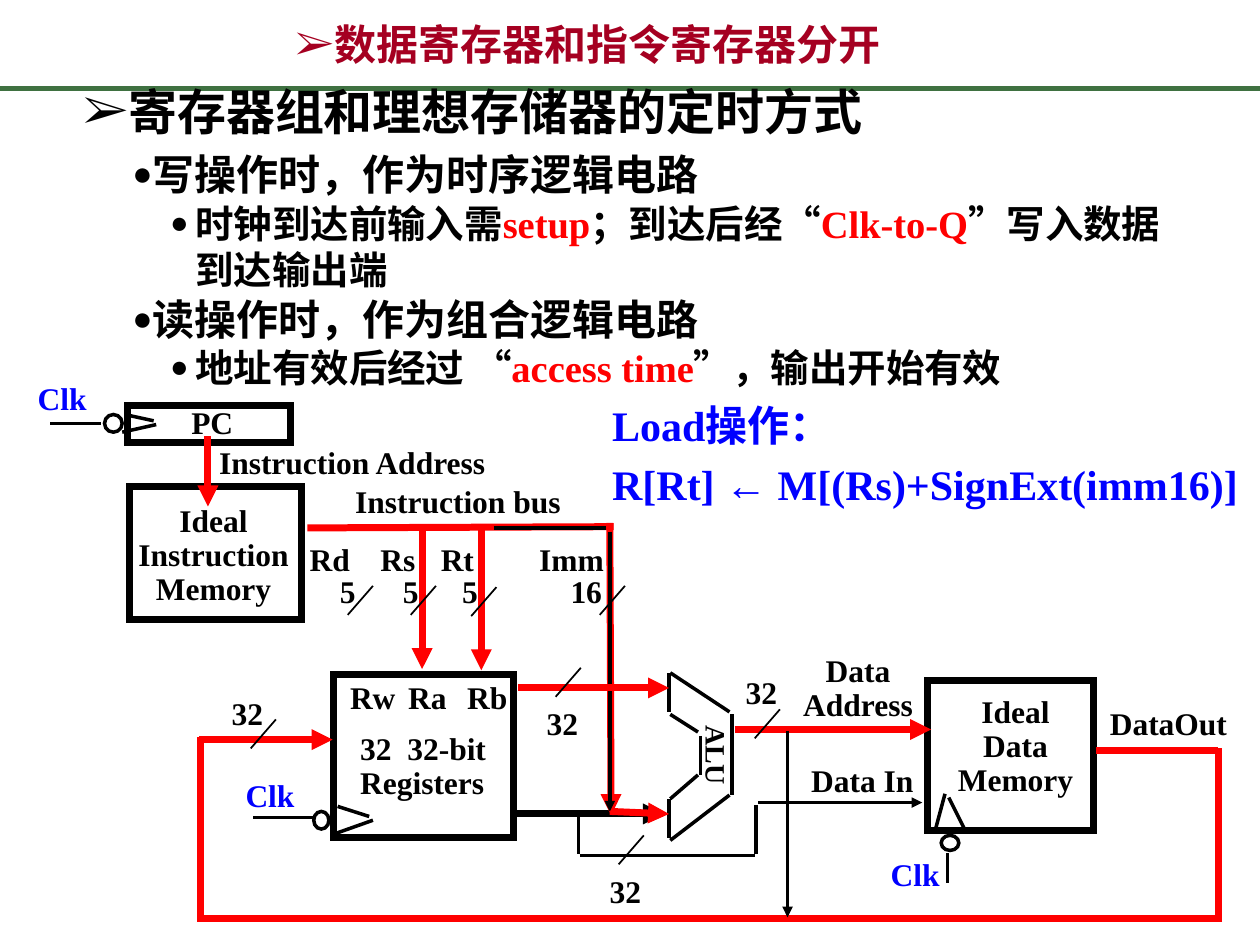
from typing import NamedTuple

from lxml import etree
from pptx import Presentation
from pptx.dml.color import RGBColor
from pptx.enum.shapes import MSO_CONNECTOR, MSO_SHAPE
from pptx.enum.text import MSO_ANCHOR, PP_ALIGN
from pptx.oxml.ns import qn
from pptx.util import Emu, Pt

PX = 9144  # 100 px to the inch
BLACK = RGBColor(0x00, 0x00, 0x00)
WHITE = RGBColor(0xFF, 0xFF, 0xFF)
RED = RGBColor(0xFF, 0x00, 0x00)
BLUE = RGBColor(0x00, 0x00, 0xFF)
GREEN = RGBColor(0x3F, 0x71, 0x41)
CRIMSON = RGBColor(0xA5, 0x00, 0x21)
SERIF, SANS, CJK = "Times New Roman", "Arial", "Noto Sans CJK JP"
RECT, OVAL = MSO_SHAPE.RECTANGLE, MSO_SHAPE.OVAL
STRAIGHT = MSO_CONNECTOR.STRAIGHT
LEFT, CENTER = PP_ALIGN.LEFT, PP_ALIGN.CENTER
TOP, BOTTOM = MSO_ANCHOR.TOP, MSO_ANCHOR.BOTTOM


class Span(NamedTuple):
    text: str
    color: RGBColor = BLACK
    font: str = SERIF


class Bullet(NamedTuple):
    mark: str
    percent: int
    left: int = 0
    hang: int = 0


class Para(NamedTuple):
    spans: list[Span]
    size: int = 18
    align: PP_ALIGN = LEFT
    spacing: float = 1.0
    before: float = 0
    bullet: Bullet | None = None


class Wire(NamedTuple):
    x1: int
    y1: int
    x2: int
    y2: int
    color: RGBColor = BLACK
    weight: int = 2
    arrow: bool = False


class Outline(NamedTuple):
    kind: MSO_SHAPE
    x: int
    y: int
    width: int
    height: int
    weight: int


class Label(NamedTuple):
    text: str
    x: int
    y: int
    width: int
    height: int = 40
    color: RGBColor = BLACK
    align: PP_ALIGN = LEFT
    size: int = 18
    rotation: int = 0


class BusWidth(NamedTuple):
    """A bit count and the slash that marks it on its wire."""
    bits: str
    x: int
    y: int
    slash_x: int
    slash_y: int


ARROW = Bullet("➢", 100)
TOPIC = Bullet("➢", 100, 20, -20)
POINT = Bullet("●", 80, 55, -16)
DETAIL = Bullet("●", 80, 89, -20)

TITLE = [Para([Span("数据寄存器和指令寄存器分开", CRIMSON, SANS)], 24, CENTER, bullet=ARROW)]
BODY = [
    Para([Span("寄存器组和理想存储器的定时方式")], 28, before=4.8, bullet=TOPIC),
    Para([Span("写操作时，作为时序逻辑电路")], 24, before=4.6, bullet=POINT),
    Para([Span("时钟到达前输入需"), Span("setup", RED), Span("；到达后经“"),
          Span("Clk-to-Q", RED), Span("”", BLACK, CJK), Span("写入数据到达输出端")],
         22, before=0.4, bullet=DETAIL),
    Para([Span("读操作时，作为组合逻辑电路")], 24, before=1, bullet=POINT),
    Para([Span("地址有效后经过 “"), Span("access time", RED),
          Span("”", BLACK, CJK), Span("，输出开始有效")], 22, bullet=DETAIL),
]
LOAD = [
    Para([Span("Load操作：", BLUE)], 24),
    Para([Span("R[Rt] ← M[(Rs)+SignExt(imm16)]", BLUE)], 24, before=5),
]

OUTLINES = [
    Outline(RECT, 101, 322, 130, 29, 4),   # PC
    Outline(RECT, 103, 386, 136, 106, 4),  # instruction memory
    Outline(RECT, 265, 535, 143, 130, 4),  # registers
    Outline(RECT, 736, 540, 132, 119, 4),  # data memory
    Outline(OVAL, 83, 329, 14, 14, 2),
    Outline(OVAL, 249, 644, 12, 14, 2),
    Outline(OVAL, 747, 663, 14, 12, 2),
]
CLOCK_INPUTS = [
    Wire(99, 329, 122, 334), Wire(124, 337, 97, 343), Wire(80, 336, 40, 336),
    Wire(268, 640, 293, 648), Wire(296, 651, 265, 662), Wire(250, 649, 201, 649),
    Wire(742, 660, 750, 630), Wire(753, 633, 765, 657), Wire(752, 677, 752, 701),
]
ALU = [
    Wire(531, 534, 531, 565), Wire(532, 534, 579, 565), Wire(532, 567, 554, 581),
    Wire(556, 584, 556, 615), Wire(581, 567, 581, 631), Wire(532, 634, 554, 615),
    Wire(531, 634, 531, 665), Wire(532, 667, 579, 631),
]
DATAPATH = [
    Wire(407, 646, 527, 646, BLACK, 4, True),
    Wire(484, 644, 531, 646, RED, 4, True),
    Wire(484, 415, 485, 647, RED, 4, True),
    Wire(583, 579, 739, 579, RED, 4, True),
    Wire(244, 419, 487, 418, RED, 4),
    Wire(165, 346, 165, 402, RED, 4, True),
    Wire(335, 419, 335, 531, RED, 4, True),
    Wire(382, 420, 382, 532, RED, 4, True),
    Wire(484, 422, 484, 644, arrow=True),
    Wire(411, 546, 531, 546, RED, 4, True),
    Wire(459, 647, 459, 678),
    Wire(460, 679, 599, 679),
    Wire(602, 637, 732, 637, arrow=True),
    Wire(600, 639, 600, 678),
    Wire(870, 596, 967, 596, RED, 4),
    Wire(967, 594, 967, 726, RED, 4),
    Wire(970, 729, 156, 729, RED, 4),
    Wire(159, 585, 159, 726, RED, 4),
    Wire(158, 587, 264, 587, RED, 4, True),
    Wire(625, 580, 625, 728, arrow=True),
    Wire(392, 419, 481, 419),
]
LABELS = [
    Label("Clk", 20, 296, 59, color=BLUE),
    Label("Clk", 185, 611, 59, color=BLUE),
    Label("Clk", 697, 674, 59, color=BLUE),
    Label("PC", 142, 315, 54),
    Label("Instruction Address", 164, 347, 323),
    Label("Instruction bus", 272, 378, 185),
    Label("Ideal\nInstruction\nMemory", 99, 396, 141, 92, align=CENTER),
    Label("Rd", 236, 424, 52),
    Label("Rs", 292, 424, 48),
    Label("Rt", 340, 424, 47),
    Label("Imm", 418, 424, 72),
    Label("Rw", 268, 533, 56),
    Label("Ra", 314, 533, 51),
    Label("Rb", 361, 533, 52),
    Label("32  32-bit\nRegisters", 276, 577, 121, 64),
    Label("ALU", 535, 581, 67, 37, size=16, rotation=90),
    Label("Data\nAddress", 627, 515, 108, 64, align=CENTER),
    Label("Data In", 634, 599, 110),
    Label("Ideal\nData\nMemory", 750, 548, 112, 92, align=CENTER),
    Label("DataOut", 871, 554, 114),
]
BUS_WIDTHS = [
    BusWidth("5", 260, 449, 276, 465), BusWidth("5", 310, 449, 326, 465),
    BusWidth("5", 357, 449, 374, 466), BusWidth("16", 443, 449, 476, 465),
    BusWidth("32", 474, 687, 491, 663), BusWidth("32", 582, 529, 599, 563),
    BusWidth("32", 424, 554, 441, 530), BusWidth("32", 174, 546, 199, 571),
]


def px(*lengths: int) -> list[Emu]:
    return [Emu(length * PX) for length in lengths]


def add_bullet(paragraph, bullet: Bullet) -> None:
    properties = paragraph._p.get_or_add_pPr()
    properties.set("marL", str(bullet.left * PX))
    properties.set("indent", str(bullet.hang * PX))
    etree.SubElement(properties, qn("a:buSzPct"), val=str(bullet.percent * 1000))
    etree.SubElement(properties, qn("a:buFont"), typeface=SERIF)
    etree.SubElement(properties, qn("a:buChar"), char=bullet.mark)


def add_text(shapes, box: tuple, paras: list[Para], insets: tuple, wrap=True, anchor=TOP):
    """Insets are horizontal and vertical."""
    area = shapes.add_textbox(*px(*box))
    frame = area.text_frame
    frame.word_wrap, frame.vertical_anchor = wrap, anchor
    frame.margin_left = frame.margin_right = Emu(insets[0] * PX)
    frame.margin_top = frame.margin_bottom = Emu(insets[1] * PX)
    for index, para in enumerate(paras):
        paragraph = frame.add_paragraph() if index else frame.paragraphs[0]
        paragraph.alignment, paragraph.line_spacing = para.align, para.spacing
        paragraph.space_before = Pt(para.before)
        if para.bullet:
            add_bullet(paragraph, para.bullet)
        for span in para.spans:
            run = paragraph.add_run()
            run.text = span.text
            run.font.name, run.font.size, run.font.bold = span.font, Pt(para.size), True
            run.font.color.rgb = span.color
            etree.SubElement(run._r.get_or_add_rPr(), qn("a:ea"), typeface=CJK)
    return area


def add_label(shapes, label: Label) -> None:
    lines = label.text.split("\n")
    spacing = 0.9 if len(lines) > 1 else 1.0
    paras = [Para([Span(line, label.color)], label.size, label.align, spacing) for line in lines]
    box = (label.x, label.y, label.width, label.height)
    add_text(shapes, box, paras, (10, 5), wrap=False).rotation = label.rotation


def add_wire(shapes, wire: Wire) -> None:
    connector = shapes.add_connector(STRAIGHT, *px(wire.x1, wire.y1, wire.x2, wire.y2))
    connector.line.color.rgb, connector.line.width = wire.color, Pt(wire.weight)
    if wire.arrow:
        etree.SubElement(connector.line._get_or_add_ln(), qn("a:tailEnd"), type="triangle")
    etree.SubElement(connector._element.spPr, qn("a:effectLst"))


def add_outline(shapes, outline: Outline) -> None:
    box = px(outline.x, outline.y, outline.width, outline.height)
    shape = shapes.add_shape(outline.kind, *box)
    shape.shadow.inherit = False
    shape.fill.background()
    shape.line.color.rgb, shape.line.width = BLACK, Pt(outline.weight)
    etree.SubElement(shape.line._get_or_add_ln(), qn("a:miter"), lim="800000")


def main() -> None:
    deck = Presentation()
    deck.slide_width, deck.slide_height = px(1000, 750)
    shapes = deck.slides.add_slide(deck.slide_layouts[6]).shapes
    add_wire(shapes, Wire(0, 70, 1000, 70, GREEN, 3))
    add_text(shapes, (86, 16, 761, 39), TITLE, (0, 0), anchor=BOTTOM)
    add_text(shapes, (59, 62, 898, 251), BODY, (7, 3))
    for outline in OUTLINES:
        add_outline(shapes, outline)
    for wire in CLOCK_INPUTS + ALU + DATAPATH:
        add_wire(shapes, wire)
    for label in LABELS:
        add_label(shapes, label)
    for bus in BUS_WIDTHS:
        add_wire(shapes, Wire(bus.slash_x, bus.slash_y + 23, bus.slash_x + 20, bus.slash_y, weight=1))
        add_label(shapes, Label(bus.bits, bus.x, bus.y, 20 + 13 * len(bus.bits)))
    load = add_text(shapes, (476, 312, 524, 99), LOAD, (10, 5))
    load.fill.solid()
    load.fill.fore_color.rgb = WHITE
    deck.save("out.pptx")


if __name__ == "__main__":
    main()
